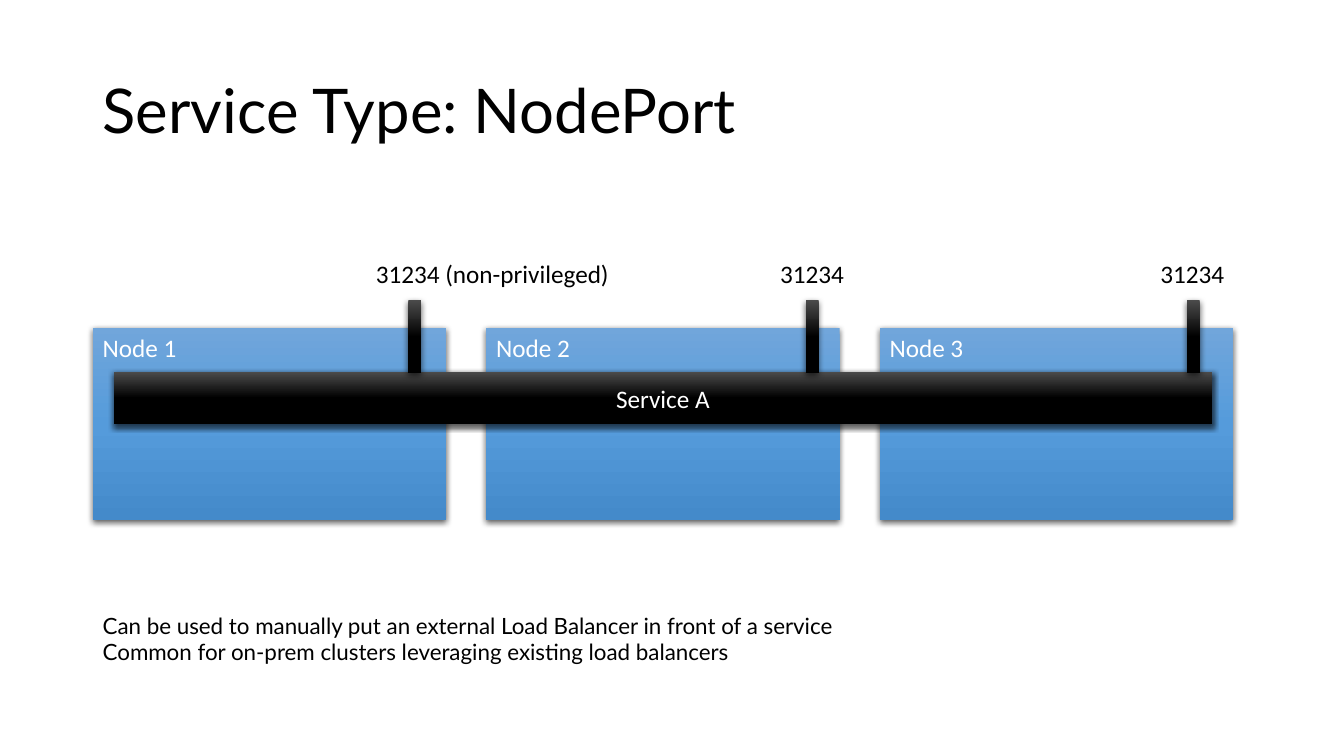
import copy
import pptx
import pptx.util
import pptx.dml.color
import pptx.enum.shapes
import pptx.enum.text
import pptx.oxml
import pptx.oxml.ns

RGBColor = pptx.dml.color.RGBColor
Inches = pptx.util.Inches
Pt = pptx.util.Pt
ANCHOR = pptx.enum.text.MSO_ANCHOR
ALIGN = pptx.enum.text.PP_ALIGN
AUTO_SIZE = pptx.enum.text.MSO_AUTO_SIZE

BLACK = RGBColor(0x00, 0x00, 0x00)
WHITE = RGBColor(0xFF, 0xFF, 0xFF)
NODE_FILL = (RGBColor(0x71, 0xA6, 0xDB), RGBColor(0x55, 0x9B, 0xDB), RGBColor(0x44, 0x8A, 0xCA))
SERVICE_FILL = (RGBColor(0x4B, 0x4B, 0x4B), BLACK, BLACK)

SHADOW = (
    '<a:outerShdw %s blurRad="57150" dist="19050" dir="5400000" algn="ctr" rotWithShape="0">'
    '<a:srgbClr val="000000"><a:alpha val="63000"/></a:srgbClr></a:outerShdw>'
    % pptx.oxml.ns.nsdecls("a")
)


def write(tf, lines, size, font, color, align=ALIGN.LEFT, anchor=ANCHOR.TOP, spacing=None):
    tf.vertical_anchor = anchor
    for i, line in enumerate(lines):
        p = tf.add_paragraph() if i else tf.paragraphs[0]
        p.alignment = align
        p.line_spacing = spacing
        r = p.add_run()
        r.text = line
        r.font.size = Pt(size)
        r.font.name = font
        r.font.color.rgb = color


def add_text(s, box, lines, size, font, wrap=True, **style):
    tf = s.shapes.add_textbox(*map(Inches, box)).text_frame
    tf.word_wrap = wrap
    tf.auto_size = AUTO_SIZE.NONE if "anchor" in style else AUTO_SIZE.SHAPE_TO_FIT_TEXT
    write(tf, lines, size, font, BLACK, **style)


def add_block(s, box, colors):
    sp = s.shapes.add_shape(pptx.enum.shapes.MSO_SHAPE.RECTANGLE, *map(Inches, box))
    sp.line.fill.background()
    sp.fill.gradient()
    sp.fill.gradient_angle = 270
    stops = sp._element.spPr.find(".//" + pptx.oxml.ns.qn("a:gsLst"))
    stops.append(copy.deepcopy(stops[-1]))
    for stop, color, position in zip(sp.fill.gradient_stops, colors, (0, 0.5, 1)):
        stop.color.rgb = color
        stop.position = position
    sp.shadow.inherit = False
    effects = sp._element.spPr.find(pptx.oxml.ns.qn("a:effectLst"))
    effects.append(pptx.oxml.parse_xml(SHADOW))
    return sp


def add_nodes(s, box, names):
    x, y, w, h = box
    node_w = 0.31 * w
    pitch = (w - node_w) / (len(names) - 1)
    for i, name in enumerate(names):
        sp = add_block(s, (x + i * pitch, y, node_w, h), NODE_FILL)
        write(sp.text_frame, [name], 18, "Calibri", WHITE)


def add_service(s, box, name, ports):
    x, y, w, h = box
    sp = add_block(s, box, SERVICE_FILL)
    write(sp.text_frame, [name], 18, "Calibri", WHITE, ALIGN.CENTER, ANCHOR.MIDDLE)
    for port_x, _, _, _ in ports:
        add_block(s, (x + port_x, y - 0.71, 0.13, 0.72), SERVICE_FILL)
    for _, label_x, label_w, label in ports:
        add_text(s, (x + label_x, y - 1.18, label_w, 0.4), [label], 18, "Calibri", wrap=False)


def node_port_slide(prs):
    s = prs.slides.add_slide(prs.slide_layouts[6])
    left = 0.92
    add_text(s, (left, 0.4, 11.5, 1.45), ["Service Type: NodePort"], 44, "Lato",
             anchor=ANCHOR.MIDDLE, spacing=0.9)
    add_nodes(s, (left, 3.25, 11.31, 1.91), ["Node 1", "Node 2", "Node 3"])
    add_service(s, (1.13, 3.69, 10.89, 0.52), "Service A", [
        (2.92, 2.5, 2.54, "31234 (non-privileged)"),
        (6.86, 6.51, 0.84, "31234"),
        (10.64, 10.28, 0.84, "31234"),
    ])
    add_text(s, (left, 6.02, 11.25, 0.64), [
        "Can be used to manually put an external Load Balancer in front of a service",
        "Common for on-prem clusters leveraging existing load balancers",
    ], 16, "Lato")


prs = pptx.Presentation()
prs.slide_width = Inches(13.33)
prs.slide_height = Inches(7.5)
node_port_slide(prs)
prs.save("out.pptx")
